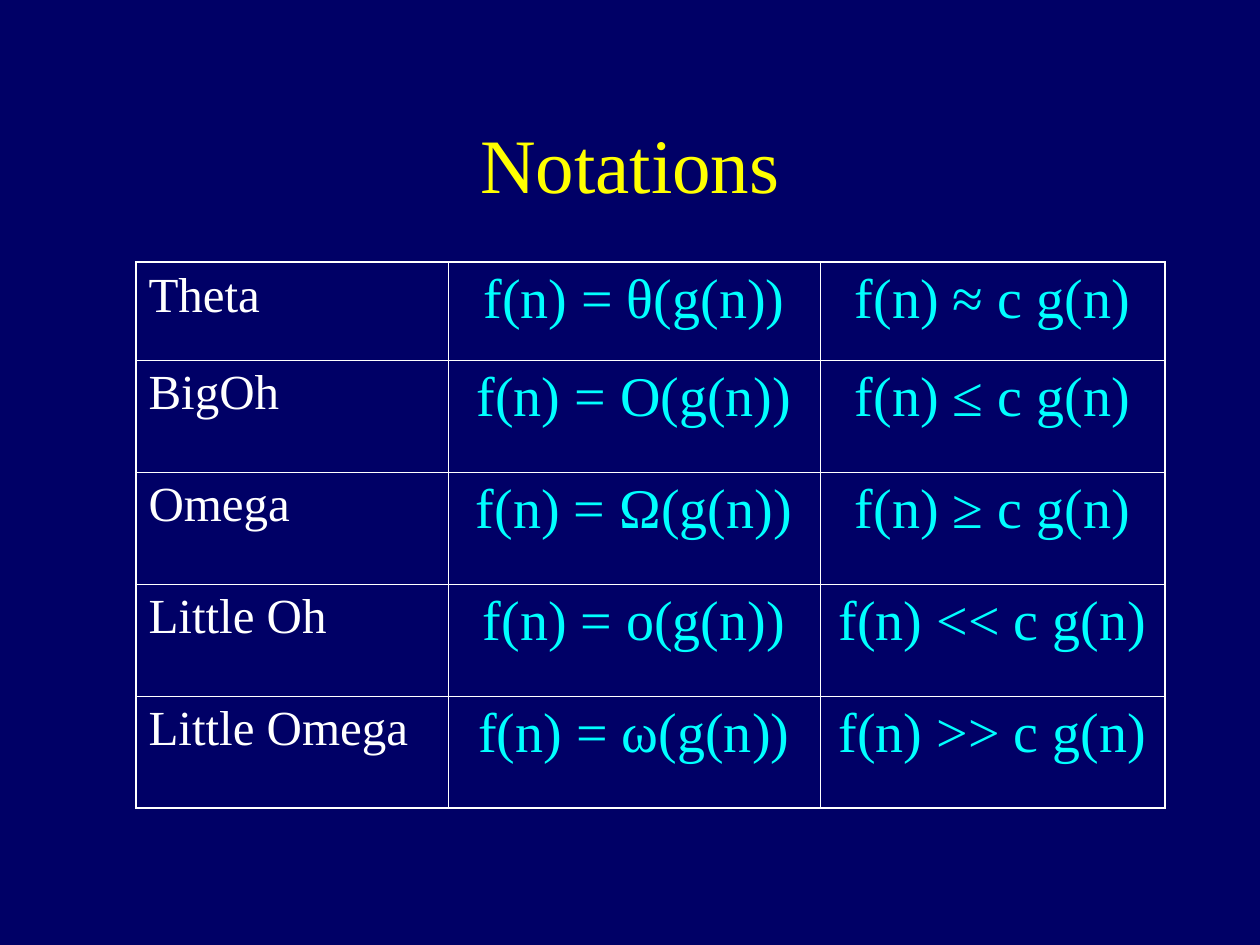
from lxml import etree
from pptx import Presentation
from pptx.dml.color import RGBColor
from pptx.enum.text import MSO_ANCHOR, PP_ALIGN
from pptx.oxml.ns import qn
from pptx.util import Emu, Pt

LEFT, CENTER = PP_ALIGN.LEFT, PP_ALIGN.CENTER
TOP, MIDDLE = MSO_ANCHOR.TOP, MSO_ANCHOR.MIDDLE
TITLE_ONLY = 5
PX_PER_INCH = 126
FONT = "Times New Roman"
NAVY, YELLOW, WHITE, CYAN = "000066", "FFFF00", "FFFFFF", "00FFFF"
OUTER_LINE, INNER_LINE = 1.08, 0.45

NAME_FORMAT = {"size": Pt(28), "name": FONT, "bold": False}
FORMULA_FORMAT = {"size": Pt(32), "name": FONT, "bold": False}
TITLE_FORMAT = {"size": Pt(44), "name": FONT, "bold": False}
COLUMN_STYLES = [
    (LEFT, WHITE, NAME_FORMAT),
    (CENTER, CYAN, FORMULA_FORMAT),
    (CENTER, CYAN, FORMULA_FORMAT),
]

COLUMN_WIDTHS = [312, 372, 345]
ROW_HEIGHTS = [98] + [112] * 4
NOTATIONS = [
    ("Theta", "θ", "≈"),
    ("BigOh", "O", "≤"),
    ("Omega", "Ω", "≥"),
    ("Little Oh", "o", "<<"),
    ("Little Omega", "ω", ">>"),
]


def px(length):
    """Turn whole pixels into EMU."""
    return Emu(round(length * 914400 / PX_PER_INCH))


def rgb(color):
    """Turn a hex string into a colour."""
    return RGBColor.from_string(color)


def write(frame, text, align, color, formats):
    """Put one formatted paragraph into a text frame."""
    frame.text = text
    paragraph = frame.paragraphs[0]
    paragraph.alignment = align
    font = paragraph.runs[0].font
    font.color.rgb = rgb(color)
    for attribute, value in formats.items():
        setattr(font, attribute, value)


def add_borders(cell, widths):
    """Draw the borders of a cell from a dict of side to width in points."""
    properties = cell._tc.get_or_add_tcPr()
    for side, width in widths.items():
        line = etree.SubElement(properties, qn(f"a:ln{side}"), w=str(Pt(width)))
        fill = etree.SubElement(line, qn("a:solidFill"))
        etree.SubElement(fill, qn("a:srgbClr"), val=WHITE)


def place_title(slide, left, top, width, height):
    """Move and fill the title placeholder."""
    title = slide.shapes.title
    box = {"left": left, "top": top, "width": width, "height": height}
    for attribute, length in box.items():
        setattr(title, attribute, px(length))
    title.text_frame.vertical_anchor = MIDDLE
    write(title.text_frame, "Notations", CENTER, YELLOW, TITLE_FORMAT)


def place_notation_table(slide, left, top):
    """Build the table of notations with its top left corner at a point."""
    width, height = sum(COLUMN_WIDTHS), sum(ROW_HEIGHTS)
    last_row, last_column = len(ROW_HEIGHTS) - 1, len(COLUMN_WIDTHS) - 1
    table = slide.shapes.add_table(
        last_row + 1, last_column + 1, px(left), px(top), px(width), px(height)
    ).table
    table.first_row = table.horz_banding = False
    for column, column_width in zip(table.columns, COLUMN_WIDTHS):
        column.width = px(column_width)
    for row, row_height in zip(table.rows, ROW_HEIGHTS):
        row.height = px(row_height)

    for r, (name, symbol, relation) in enumerate(NOTATIONS):
        texts = (name, f"f(n) = {symbol}(g(n))", f"f(n) {relation} c g(n)")
        for c, (text, style) in enumerate(zip(texts, COLUMN_STYLES)):
            cell = table.cell(r, c)
            on_edge = {"L": c == 0, "R": c == last_column, "T": r == 0, "B": r == last_row}
            add_borders(cell, {
                side: OUTER_LINE if outer else INNER_LINE
                for side, outer in on_edge.items()
            })
            cell.fill.background()
            cell.vertical_anchor = TOP
            write(cell.text_frame, text, *style)


def main():
    """Build and save the slide."""
    deck = Presentation()
    deck.slide_width, deck.slide_height = px(1260), px(945)
    slide = deck.slides.add_slide(deck.slide_layouts[TITLE_ONLY])
    background = slide.background.fill
    background.solid()
    background.fore_color.rgb = rgb(NAVY)
    place_title(slide, 94, 84, 1072, 158)
    place_notation_table(slide, 136, 262)
    deck.save("out.pptx")


if __name__ == "__main__":
    main()
